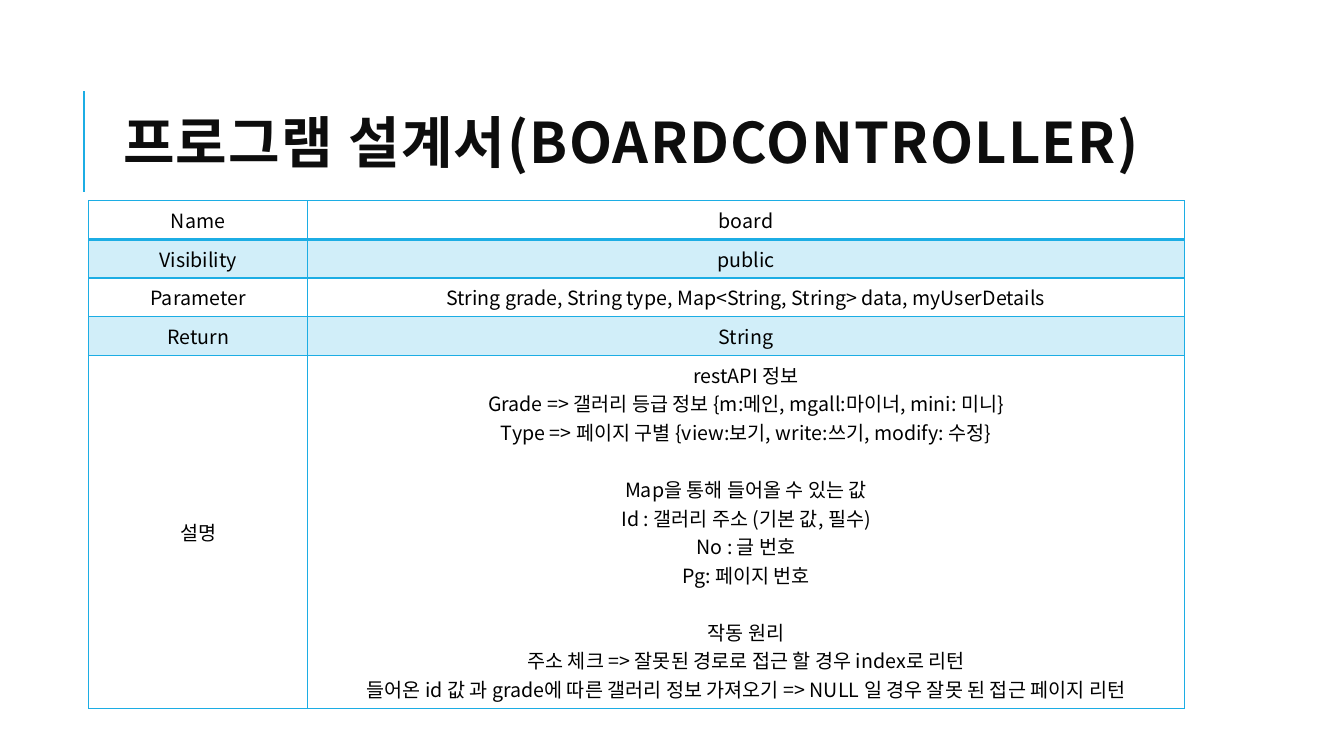
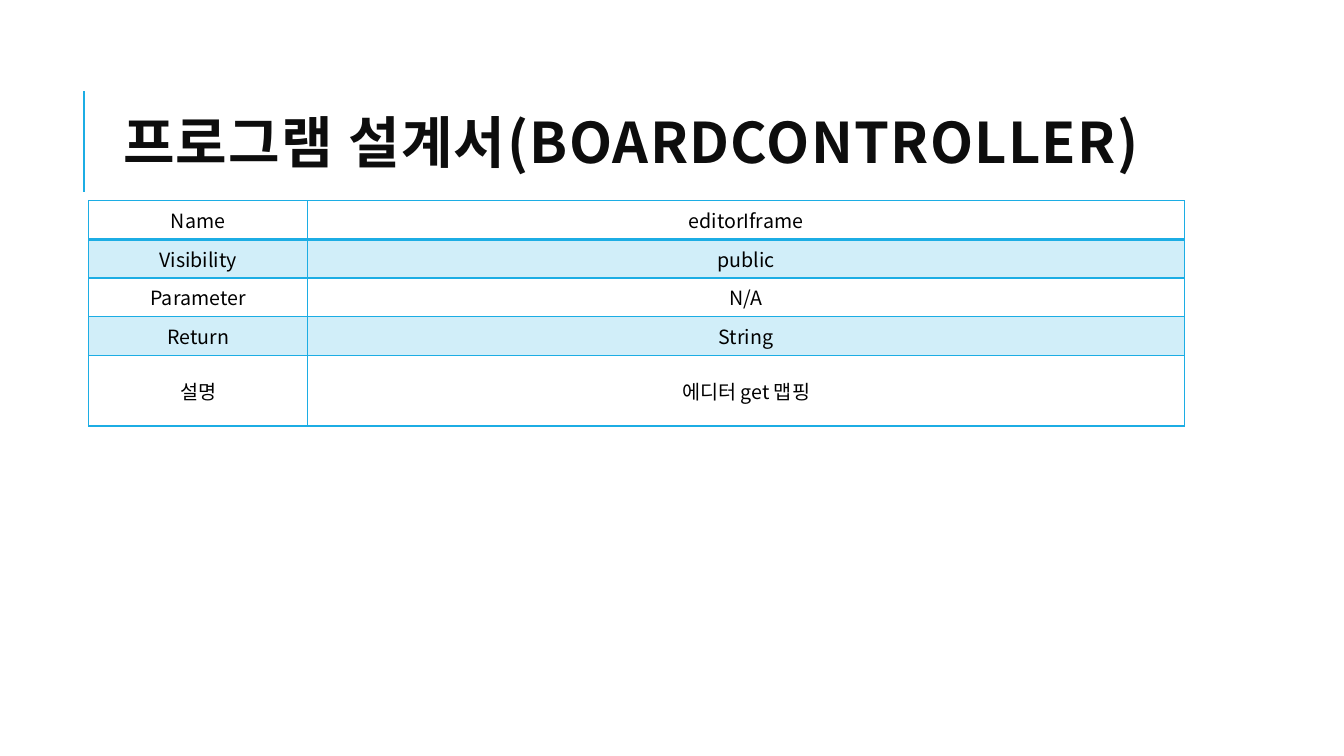
from lxml import etree
from pptx import Presentation
from pptx.dml.color import RGBColor
from pptx.enum.shapes import MSO_CONNECTOR
from pptx.enum.text import MSO_ANCHOR, PP_ALIGN
from pptx.oxml.ns import qn
from pptx.util import Inches, Pt

STRAIGHT = MSO_CONNECTOR.STRAIGHT
MIDDLE = MSO_ANCHOR.MIDDLE
LEFT, CENTER = PP_ALIGN.LEFT, PP_ALIGN.CENTER

FONT = "Noto Sans CJK KR"
ACCENT, TITLE_INK, INK = "1CADE4", "0D0D0D", "000000"
BAND_OPACITY = 20
TITLE_ONLY = 5

TITLE = "프로그램 설계서(BOARDCONTROLLER)"
TITLE_BOX = (1.12, 0.64, 10.63, 1.64)
RULE_X, RULE_TOP, RULE_BOTTOM = 0.83, 0.9, 1.9
TABLE_LEFT, TABLE_TOP = 0.88, 1.99
COLUMN_WIDTHS = (2.17, 8.7)
ROW_HEIGHT = 0.38
BODY_SIZE = 14
GROUP_GAP = 20.4

LABELS = ("Name", "Visibility", "Parameter", "Return", "설명")

# Each method: four one-line values, then the description as groups of lines
# and the height of the description row.
METHODS = [
    (
        ("board", "public",
         "String grade, String type, Map<String, String> data, myUserDetails",
         "String"),
        [
            ["restAPI 정보",
             "Grade => 갤러리 등급 정보 {m:메인, mgall:마이너, mini: 미니}",
             "Type => 페이지 구별 {view:보기, write:쓰기, modify: 수정}"],
            ["Map을 통해 들어올 수 있는 값",
             "Id : 갤러리 주소 (기본 값, 필수)",
             "No : 글 번호",
             "Pg: 페이지 번호"],
            ["작동 원리",
             "주소 체크 => 잘못된 경로로 접근 할 경우 index로 리턴",
             "들어온 id 값 과 grade에 따른 갤러리 정보 가져오기 "
             "=> NULL 일 경우 잘못 된 접근 페이지 리턴"],
        ],
        3.5,
    ),
    (
        ("editorIframe", "public", "N/A", "String"),
        [["에디터 get 맵핑"]],
        0.7,
    ),
]


def color(value):
    return RGBColor.from_string(value)


def format_span(span, size, ink, bold=False):
    span.font.name = FONT
    span.font.size = Pt(size)
    span.font.bold = bold
    span.font.color.rgb = color(ink)
    properties = span.font._element
    etree.SubElement(properties, qn("a:ea"), typeface=FONT)


def add_title(page, box):
    title = page.shapes.title
    title.left, title.top, title.width, title.height = map(Inches, box)
    frame = title.text_frame
    frame.text = TITLE
    frame.word_wrap = True
    frame.vertical_anchor = MIDDLE
    para = frame.paragraphs[0]
    para.alignment = LEFT
    para.line_spacing = 0.8
    span = para.runs[0]
    format_span(span, 40, TITLE_INK, bold=True)
    span.font._element.set("spc", "100")


def add_title_rule(page, x, top, bottom):
    rule = page.shapes.add_connector(
        STRAIGHT, Inches(x), Inches(bottom), Inches(x), Inches(top))
    rule.line.color.rgb = color(ACCENT)
    rule.line.width = Pt(1.5)
    etree.SubElement(rule._element.spPr, qn("a:effectLst"))


def set_borders(cell, widths):
    """Draw accent borders; widths maps L, R, T and B, in that order, to points."""
    properties = cell._tc.get_or_add_tcPr()
    for side, width in widths.items():
        line = etree.SubElement(properties, qn(f"a:ln{side}"), w=str(Pt(width)))
        fill = etree.SubElement(line, qn("a:solidFill"))
        etree.SubElement(fill, qn("a:srgbClr"), val=ACCENT)


def fill_cell(cell, banded):
    if not banded:
        cell.fill.background()
        return
    cell.fill.solid()
    cell.fill.fore_color.rgb = color(ACCENT)
    tint = cell._tc.tcPr.find(qn("a:solidFill")).find(qn("a:srgbClr"))
    etree.SubElement(tint, qn("a:alpha"), val=str(BAND_OPACITY * 1000))


def write_cell(cell, groups):
    """Write groups of lines, with a gap before every group but the first."""
    cell.vertical_anchor = MIDDLE
    frame = cell.text_frame
    frame.text = "\n".join(line for group in groups for line in group)
    for para in frame.paragraphs:
        para.alignment = CENTER
        format_span(para.runs[0], BODY_SIZE, INK)
    start = 0
    for group in groups[:-1]:
        start += len(group)
        frame.paragraphs[start].space_before = Pt(GROUP_GAP)


def add_method_table(page, left, top, values, description, description_height):
    contents = [[[value]] for value in values] + [description]
    heights = [ROW_HEIGHT] * len(values) + [description_height]
    table = page.shapes.add_table(
        len(LABELS), len(COLUMN_WIDTHS), Inches(left), Inches(top),
        Inches(sum(COLUMN_WIDTHS)), Inches(sum(heights))).table
    table.first_row = False
    table.horz_banding = False
    for column, width in zip(table.columns, COLUMN_WIDTHS):
        column.width = Inches(width)
    for index, (label, content) in enumerate(zip(LABELS, contents)):
        table.rows[index].height = Inches(heights[index])
        widths = {"L": 1, "R": 1,
                  "T": 2 if index == 1 else 1,
                  "B": 2 if index == 0 else 1}
        for cell, groups in zip(table.rows[index].cells, ([[label]], content)):
            write_cell(cell, groups)
            set_borders(cell, widths)
            fill_cell(cell, banded=index % 2 == 1)


def add_method_page(deck, method):
    page = deck.slides.add_slide(deck.slide_layouts[TITLE_ONLY])
    add_title_rule(page, RULE_X, RULE_TOP, RULE_BOTTOM)
    add_title(page, TITLE_BOX)
    add_method_table(page, TABLE_LEFT, TABLE_TOP, *method)


def main():
    deck = Presentation()
    deck.slide_width, deck.slide_height = Inches(13.33), Inches(7.5)
    for method in METHODS:
        add_method_page(deck, method)
    deck.save("out.pptx")


if __name__ == "__main__":
    main()
